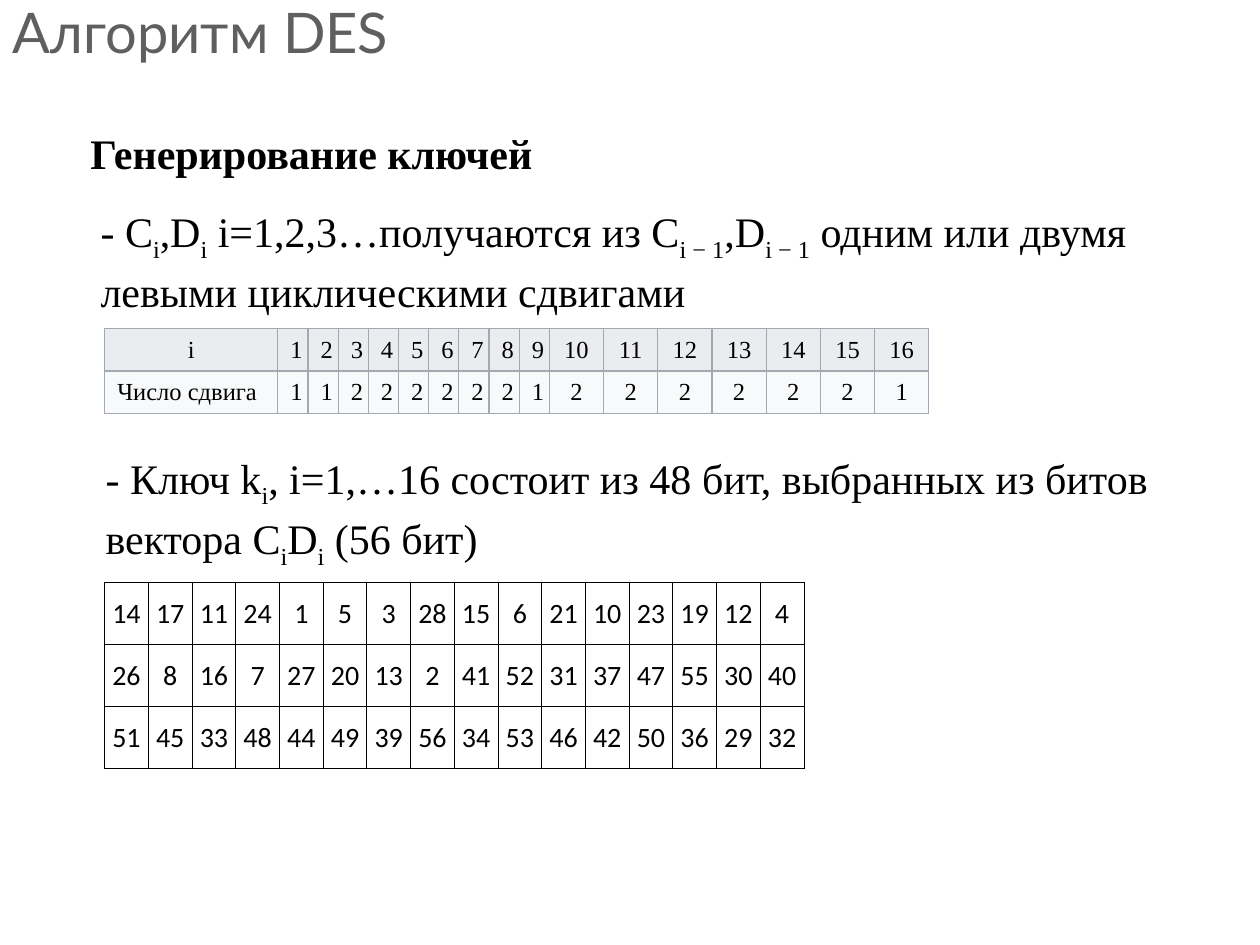
from lxml import etree
from pptx import Presentation
from pptx.dml.color import RGBColor
from pptx.enum.text import MSO_ANCHOR, MSO_AUTO_SIZE, PP_ALIGN
from pptx.oxml.ns import qn
from pptx.util import Pt

BLACK = RGBColor(0x00, 0x00, 0x00)
WHITE = RGBColor(0xFF, 0xFF, 0xFF)
GRAY = RGBColor(0x5F, 0x5F, 0x5F)
RULE = RGBColor(0xA2, 0xA9, 0xB1)
HEAD = RGBColor(0xEA, 0xEC, 0xF0)
PALE = RGBColor(0xF8, 0xF9, 0xFA)
SERIF = "Times New Roman"

SHIFTS = [
    ["i", *range(1, 17)],
    ["Число сдвига", 1, 1, 2, 2, 2, 2, 2, 2, 1, 2, 2, 2, 2, 2, 2, 1],
]
KEY_BITS = [
    [14, 17, 11, 24, 1, 5, 3, 28, 15, 6, 21, 10, 23, 19, 12, 4],
    [26, 8, 16, 7, 27, 20, 13, 2, 41, 52, 31, 37, 47, 55, 30, 40],
    [51, 45, 33, 48, 44, 49, 39, 56, 34, 53, 46, 42, 50, 36, 29, 32],
]


def write(tf, text, font=SERIF, size=24, color=BLACK, bold=False,
          align=PP_ALIGN.LEFT, spacing=None):
    """Write one paragraph; parts between underscores become subscripts."""
    p = tf.paragraphs[0]
    p.alignment = align
    if spacing:
        p.line_spacing = spacing
    for i, part in enumerate(text.split("_")):
        if not part:
            continue
        r = p.add_run()
        r.text = part
        r.font.name = font
        r.font.size = Pt(size)
        r.font.bold = bold
        r.font.color.rgb = color
        if i % 2:
            r.font._element.set("baseline", "-25000")


def add_borders(cell, color, width):
    """Draw a solid line on all four sides of a cell."""
    tcPr = cell._tc.get_or_add_tcPr()
    for side in ("lnL", "lnR", "lnT", "lnB"):
        ln = etree.SubElement(tcPr, qn(f"a:{side}"), w=str(Pt(width)))
        fill = etree.SubElement(ln, qn("a:solidFill"))
        etree.SubElement(fill, qn("a:srgbClr"), val=str(color))


class Deck:
    """Holds the presentation and its current slide."""

    def __init__(self, width, height):
        """Start a presentation with one title-only slide."""
        self.prs = Presentation()
        self.prs.slide_width, self.prs.slide_height = Pt(width), Pt(height)
        self.s = self.prs.slides.add_slide(self.prs.slide_layouts[5])

    def title(self, text, x, y, w, h):
        """Place and fill the title placeholder."""
        sp = self.s.shapes.title
        sp.left, sp.top, sp.width, sp.height = Pt(x), Pt(y), Pt(w), Pt(h)
        tf = sp.text_frame
        tf.auto_size = MSO_AUTO_SIZE.NONE
        tf.vertical_anchor = MSO_ANCHOR.MIDDLE
        write(tf, text, font="Lato", size=32, color=GRAY)

    def text(self, text, x, y, w, h, wrap=True, **fmt):
        """Add a text box that grows with its text."""
        sp = self.s.shapes.add_textbox(Pt(x), Pt(y), Pt(w), Pt(h))
        tf = sp.text_frame
        tf.word_wrap = wrap
        tf.auto_size = MSO_AUTO_SIZE.SHAPE_TO_FIT_TEXT
        write(tf, text, spacing=1.05, **fmt)

    def table(self, rows, x, y, widths, row_h, fills, line, line_w,
              margin=None, **fmt):
        """Add a ruled table with one fill per row."""
        frame = self.s.shapes.add_table(len(rows), len(widths), Pt(x), Pt(y),
                                        Pt(sum(widths)), Pt(row_h * len(rows)))
        table = frame.table
        table.first_row = table.horz_banding = False
        for column, w in zip(table.columns, widths):
            column.width = Pt(w)
        for i, (values, fill) in enumerate(zip(rows, fills)):
            table.rows[i].height = Pt(row_h)
            for j, value in enumerate(values):
                cell = table.cell(i, j)
                add_borders(cell, line, line_w)
                cell.fill.solid()
                cell.fill.fore_color.rgb = fill
                cell.vertical_anchor = MSO_ANCHOR.MIDDLE
                if margin is not None:
                    cell.margin_left = cell.margin_right = Pt(margin)
                    cell.margin_top, cell.margin_bottom = Pt(margin), Pt(0)
                label = i > 0 and isinstance(value, str)
                align = PP_ALIGN.LEFT if label else PP_ALIGN.CENTER
                write(cell.text_frame, str(value), align=align, **fmt)


def main():
    """Build the slide and save it."""
    deck = Deck(720, 540)
    deck.title("Алгоритм DES", 0, 0, 720, 36)
    deck.text("Генерирование ключей", 44.6, 67.7, 270, 36.4,
              wrap=False, bold=True)
    deck.text("- Ключ k_i_, i=1,…16 состоит из 48 бит, выбранных из битов "
              "вектора C_i_D_i_ (56 бит)", 53.3, 253.4, 618.5, 65.5)
    deck.table(KEY_BITS, 59.8, 332.6, [24.98] * 16, 35.6, [WHITE] * 3,
               BLACK, 0.5, margin=0.75, font="Calibri", size=16)
    deck.text("- C_i_,D_i_ i=1,2,3…получаются из C_i − 1_,D_i − 1_ одним или "
              "двумя левыми циклическими сдвигами", 50.4, 112.3, 624.2, 65.5)
    deck.table(SHIFTS, 59.8, 187.9, [99] + [16.6] * 9 + [31] * 7, 24.1,
               [HEAD, PALE], RULE, 0.75, size=14)
    deck.prs.save("out.pptx")


main()
